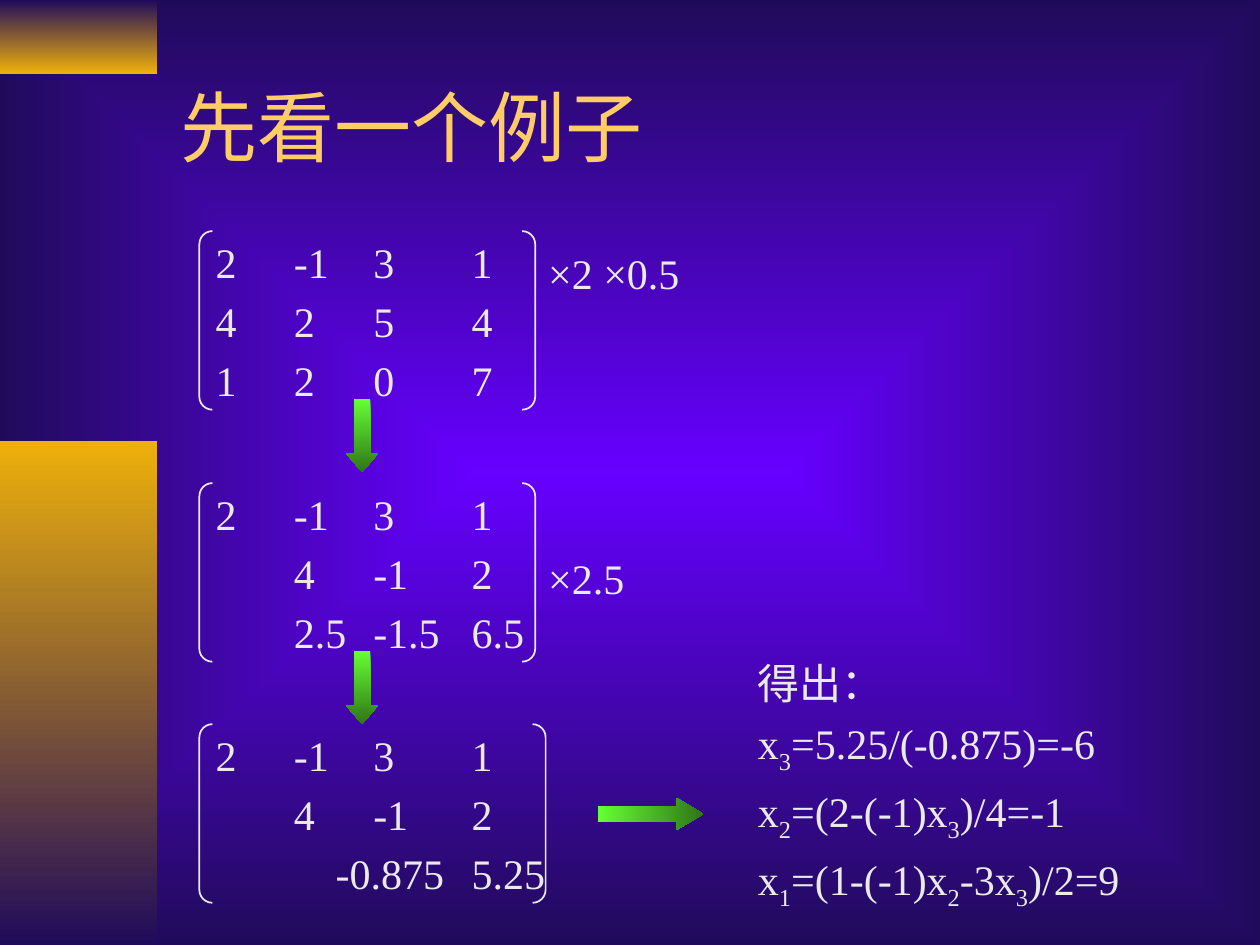
from lxml import etree
from pptx import Presentation
from pptx.dml.color import RGBColor
from pptx.enum.shapes import MSO_SHAPE as Preset
from pptx.enum.text import MSO_ANCHOR as Anchor, PP_ALIGN as Align
from pptx.oxml.ns import qn
from pptx.util import Cm, Pt

FONT = "Times New Roman"
VIOLET = RGBColor(0x66, 0x00, 0xFF)
NAVY = RGBColor(0x20, 0x0B, 0x5B)
GOLD = RGBColor(0xEE, 0xB0, 0x0B)
TITLE_COLOR = RGBColor(0xFF, 0xCC, 0x66)
PALE = RGBColor(0xEA, 0xEA, 0xEA)
LIME = RGBColor(0x66, 0xFF, 0x33)
GREEN = RGBColor(0x2F, 0x75, 0x17)

MATRIX_LEFT = 4.02
COLUMNS = (1.58, 3.18, 5.16)
LATE_COLUMNS = (2.42, 5.16)
FIRST_ROW = "2\t-1\t3\t1"
SECOND_ROW = "\t4\t-1\t2"


def set_gradient(fill, start, end, angle=0):
    """Fill with two colours, the angle running clockwise."""
    fill.gradient()
    fill.gradient_angle = -angle % 360
    for stop, color, position in zip(fill.gradient_stops, (start, end), (0, 1)):
        stop.color.rgb = color
        stop.position = position


def set_background(slide):
    """Give the slide a gradient that spreads from its centre."""
    set_gradient(slide.background.fill, VIOLET, NAVY)
    gradient = slide.element.find(".//" + qn("a:gradFill"))
    gradient.remove(gradient.find(qn("a:lin")))
    path = etree.SubElement(gradient, qn("a:path"), path="rect")
    etree.SubElement(path, qn("a:fillToRect"), l="50000", t="50000", r="50000", b="50000")


def set_tabs(paragraph, positions):
    """Add left tab stops, given in centimetres."""
    tabs = etree.SubElement(paragraph._p.get_or_add_pPr(), qn("a:tabLst"))
    for position in positions:
        etree.SubElement(tabs, qn("a:tab"), pos=str(Cm(position)), algn="l")


def style_paragraph(paragraph, size=24, color=PALE, space=0):
    """Set the font, colour, alignment and space above."""
    paragraph.alignment = Align.LEFT
    paragraph.space_before = Pt(space)
    paragraph.font.name = FONT
    paragraph.font.size = Pt(size)
    paragraph.font.color.rgb = color


def add_lines(frame, lines, **style):
    """Write lines, where an underscore lowers the next character."""
    for index, line in enumerate(lines):
        paragraph = frame.add_paragraph() if index else frame.paragraphs[0]
        style_paragraph(paragraph, **style)
        head, *parts = line.split("_")
        paragraph.add_run().text = head
        for part in parts:
            subscript = paragraph.add_run()
            subscript.text = part[0]
            subscript.font._element.set("baseline", "-25000")
            paragraph.add_run().text = part[1:]


def add_text(slide, box, lines, anchor=Anchor.TOP, **style):
    """Add a wrapping text box."""
    frame = slide.shapes.add_textbox(*map(Cm, box)).text_frame
    frame.word_wrap = True
    frame.vertical_anchor = anchor
    add_lines(frame, lines, **style)


def add_preset(slide, preset, box, adjustments=()):
    """Add a preset shape without shadow or outline."""
    shape = slide.shapes.add_shape(preset, *map(Cm, box))
    shape.shadow.inherit = False
    shape.line.fill.background()
    for index, value in enumerate(adjustments):
        shape.adjustments[index] = value
    return shape


def add_gradient_shape(slide, preset, box, colors, angle, adjustments=()):
    """Add a preset shape filled with a gradient."""
    shape = add_preset(slide, preset, box, adjustments)
    set_gradient(shape.fill, *colors, angle)


def add_matrix(slide, top, width, rows):
    """Add a bracketed matrix from (text, tab stops) rows."""
    shape = add_preset(slide, Preset.DOUBLE_BRACKET, (MATRIX_LEFT, top, width, 3.6), (0.073,))
    shape.fill.background()
    shape.line.color.rgb = PALE
    shape.line.width = Pt(1)
    frame = shape.text_frame
    frame.word_wrap = False
    frame.vertical_anchor = Anchor.MIDDLE
    add_lines(frame, [text for text, _ in rows], space=5)
    for paragraph, (_, tabs) in zip(frame.paragraphs, rows):
        set_tabs(paragraph, tabs)


def main():
    """Build the elimination example slide."""
    presentation = Presentation()
    presentation.slide_width, presentation.slide_height = Cm(25.4), Cm(19.05)
    slide = presentation.slides.add_slide(presentation.slide_layouts[6])
    set_background(slide)
    add_gradient_shape(slide, Preset.RECTANGLE, (0, 0, 3.17, 1.48), (NAVY, GOLD), 90)
    add_gradient_shape(slide, Preset.RECTANGLE, (0, 8.89, 3.17, 10.16), (GOLD, NAVY), 90)
    add_text(slide, (3.39, 0.85, 21.59, 3.35), ["先看一个例子"],
             Anchor.MIDDLE, size=44, color=TITLE_COLOR)

    matrices = (
        (4.66, 6.77, ((FIRST_ROW, COLUMNS), ("4\t2\t5\t4", COLUMNS), ("1\t2\t0\t7", COLUMNS))),
        (9.74, 6.77, ((FIRST_ROW, COLUMNS), (SECOND_ROW, COLUMNS),
                      ("\t2.5\t-1.5\t6.5", COLUMNS))),
        (14.6, 6.98, ((FIRST_ROW, COLUMNS), (SECOND_ROW, COLUMNS),
                      ("\t-0.875\t5.25", LATE_COLUMNS))),
    )
    for top, width, rows in matrices:
        add_matrix(slide, top, width, rows)

    add_text(slide, (10.8, 4.87, 5.08, 1.27), ["×2 ×0.5"])
    add_text(slide, (10.8, 11.01, 2.54, 1.27), ["×2.5"])
    add_text(slide, (15.03, 13.12, 9.31, 5.39),
             ["得出:".replace(":", "："), "x_3=5.25/(-0.875)=-6",
              "x_2=(2-(-1)x_3)/4=-1", "x_1=(1-(-1)x_2-3x_3)/2=9"], space=6)

    for top in (8.04, 13.12):
        add_gradient_shape(slide, Preset.DOWN_ARROW, (6.98, top, 0.64, 1.48),
                           (LIME, GREEN), 90, (0.5, 0.583))
    add_gradient_shape(slide, Preset.RIGHT_ARROW, (12.06, 16.09, 2.12, 0.64),
                       (LIME, GREEN), 0, (0.5, 0.833))
    presentation.save("out.pptx")


main()
